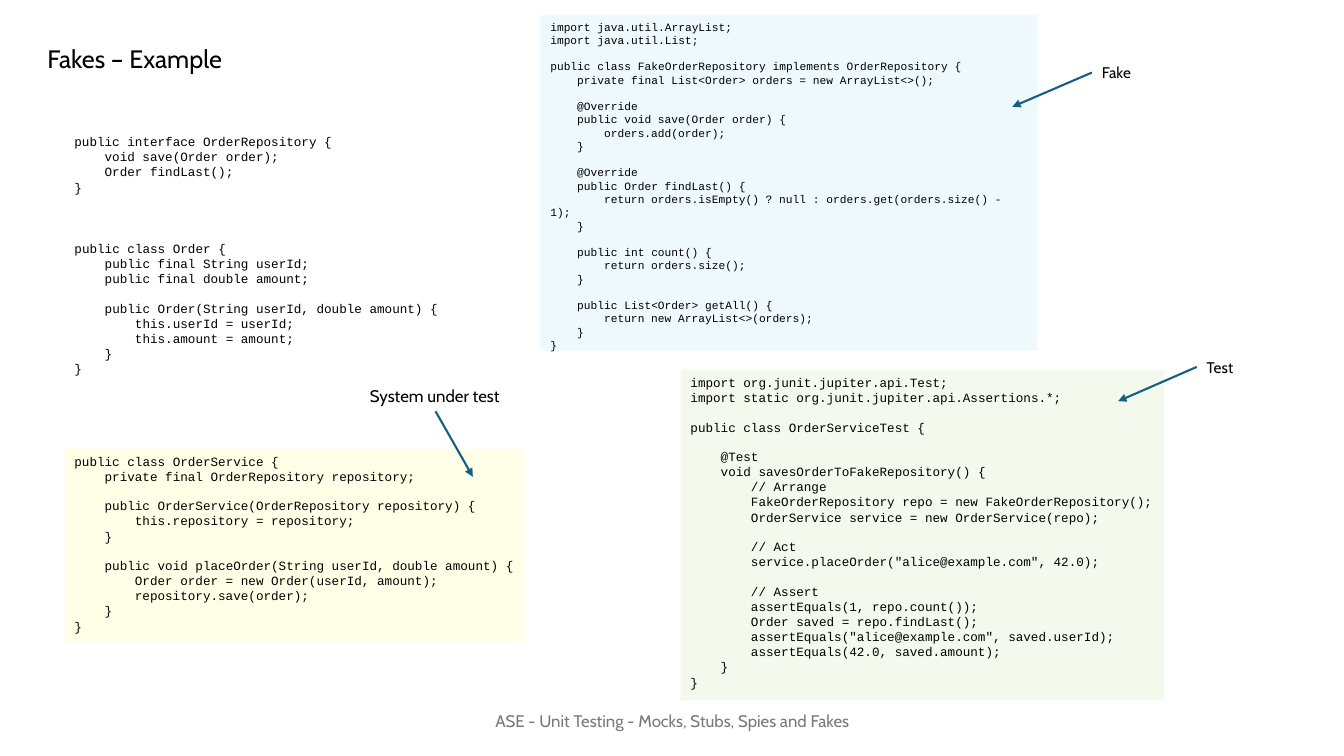
"""Builds the slide that shows a fake repository in a unit test."""
from lxml.etree import SubElement as Sub
from pptx import Presentation
from pptx.dml.color import RGBColor as RGB
from pptx.enum.shapes import MSO_CONNECTOR as LINE, MSO_SHAPE as SHAPE
from pptx.enum.text import MSO_ANCHOR as ANCHOR, PP_ALIGN as ALIGN
from pptx.oxml.ns import qn
from pptx.util import Inches, Pt

INK = {"text": "000000", "foot": "797979", "arrow": "156082",
       "yellow": "FFFF00", "blue": "00B0F0", "green": "92D050"}
CHAR = 0.6
LEAD = 1.133

REPO = """\
public interface OrderRepository {
    void save(Order order);
    Order findLast();
}"""

ORDER = """\
public class Order {
    public final String userId;
    public final double amount;

    public Order(String userId, double amount) {
        this.userId = userId;
        this.amount = amount;
    }
}"""

SERVICE = """\
public class OrderService {
    private final OrderRepository repository;

    public OrderService(OrderRepository repository) {
        this.repository = repository;
    }

    public void placeOrder(String userId, double amount) {
        Order order = new Order(userId, amount);
        repository.save(order);
    }
}"""

FAKE = """\
import java.util.ArrayList;
import java.util.List;

public class FakeOrderRepository implements OrderRepository {
    private final List<Order> orders = new ArrayList<>();

    @Override
    public void save(Order order) {
        orders.add(order);
    }

    @Override
    public Order findLast() {
        return orders.isEmpty() ? null : orders.get(orders.size() - 1);
    }

    public int count() {
        return orders.size();
    }

    public List<Order> getAll() {
        return new ArrayList<>(orders);
    }
}"""

TEST = """\
import org.junit.jupiter.api.Test;
import static org.junit.jupiter.api.Assertions.*;

public class OrderServiceTest {

    @Test
    void savesOrderToFakeRepository() {
        // Arrange
        FakeOrderRepository repo = new FakeOrderRepository();
        OrderService service = new OrderService(repo);

        // Act
        service.placeOrder("alice@example.com", 42.0);

        // Assert
        assertEquals(1, repo.count());
        Order saved = repo.findLast();
        assertEquals("alice@example.com", saved.userId);
        assertEquals(42.0, saved.amount);
    }
}"""


def inch(box):
    """Turn a row of numbers into lengths."""
    return [Inches(n) for n in box]


def write(para, text, size, font="Cabin", ink="text"):
    """Add one run to a paragraph."""
    run = para.add_run()
    run.text = text
    run.font.size = Pt(size)
    run.font.name = font
    run.font.color.rgb = RGB.from_string(INK[ink])


def title(slide, box, text):
    """Place and fill the title."""
    head = slide.shapes.title
    head.left, head.top, head.width, head.height = inch(box)
    frame = head.text_frame
    frame.word_wrap = False
    frame.vertical_anchor = ANCHOR.TOP
    para = frame.paragraphs[0]
    para.alignment = ALIGN.LEFT
    write(para, text, 18)


def label(slide, box, text, size):
    """Add a short label."""
    frame = slide.shapes.add_textbox(*inch(box)).text_frame
    frame.word_wrap = False
    write(frame.paragraphs[0], text, size)


def footer(slide, box, text):
    """Add the centred line at the foot."""
    frame = slide.shapes.add_textbox(*inch(box)).text_frame
    frame.word_wrap = True
    frame.vertical_anchor = ANCHOR.MIDDLE
    para = frame.paragraphs[0]
    para.alignment = ALIGN.CENTER
    write(para, text, 12, ink="foot")


def panel(slide, box, ink, alpha):
    """Add a rectangle with a see-through fill."""
    rect = slide.shapes.add_shape(SHAPE.RECTANGLE, *inch(box))
    rect.shadow.inherit = False
    rect.line.fill.background()
    rect.fill.solid()
    rect.fill.fore_color.rgb = RGB.from_string(INK[ink])
    tint = rect.fill._xPr.find(".//" + qn("a:srgbClr"))
    Sub(tint, qn("a:alpha"), val=str(alpha * 1000))
    return rect


def code(shape, text, size):
    """Set code line by line, with indents and gaps as paragraph format."""
    frame = shape.text_frame
    frame.word_wrap = True
    frame.vertical_anchor = ANCHOR.TOP
    para, gap = frame.paragraphs[0], 0
    for row in text.splitlines():
        if not row:
            gap += size * LEAD
            continue
        if para.runs:
            para = frame.add_paragraph()
        para.alignment = ALIGN.LEFT
        para.space_before = Pt(gap)
        line = row.lstrip()
        depth = len(row) - len(line)
        para._p.get_or_add_pPr().set("indent", str(Pt(depth * CHAR * size)))
        write(para, line, size, "Courier New")
        gap = 0


def arrow(slide, ends):
    """Add an arrow from the first point to the second."""
    line = slide.shapes.add_connector(LINE.STRAIGHT, *inch(ends))
    line.line.width = Pt(1.5)
    line.line.color.rgb = RGB.from_string(INK["arrow"])
    Sub(line.line._get_or_add_ln(), qn("a:tailEnd"), type="triangle")
    Sub(line._element.spPr, qn("a:effectLst"))


def main():
    """Build and save the slide."""
    deck = Presentation()
    deck.slide_width, deck.slide_height = inch((13.33, 7.5))
    slide = deck.slides.add_slide(deck.slide_layouts[5])
    title(slide, (0.37, 0.38, 2.05, 0.4), "Fakes – Example")
    footer(slide, (4.42, 6.95, 4.5, 0.4),
           "ASE - Unit Testing - Mocks, Stubs, Spies and Fakes")
    for box, text in (((0.64, 1.28, 2.76, 0.71), REPO),
                      ((0.64, 2.34, 3.82, 1.46), ORDER)):
        code(slide.shapes.add_textbox(*inch(box)), text, 9)
    for box, ink, alpha, text, size in (
            ((0.64, 4.45, 4.57, 1.92), "yellow", 9, SERVICE, 9),
            ((5.36, 0.15, 4.93, 3.33), "blue", 7, FAKE, 8),
            ((6.75, 3.67, 4.8, 3.28), "green", 10, TEST, 9)):
        code(panel(slide, box, ink, alpha), text, size)
    for box, text, size, ends in (
            ((3.57, 3.78, 1.52, 0.3), "System under test", 12,
             (4.32, 4.08, 4.69, 4.73)),
            ((10.83, 0.58, 0.52, 0.29), "Fake", 11,
             (10.83, 0.72, 10.04, 1.06)),
            ((11.87, 3.5, 0.48, 0.29), "Test", 11,
             (11.87, 3.64, 11.09, 3.98))):
        label(slide, box, text, size)
        arrow(slide, ends)
    deck.save("out.pptx")


if __name__ == "__main__":
    main()
